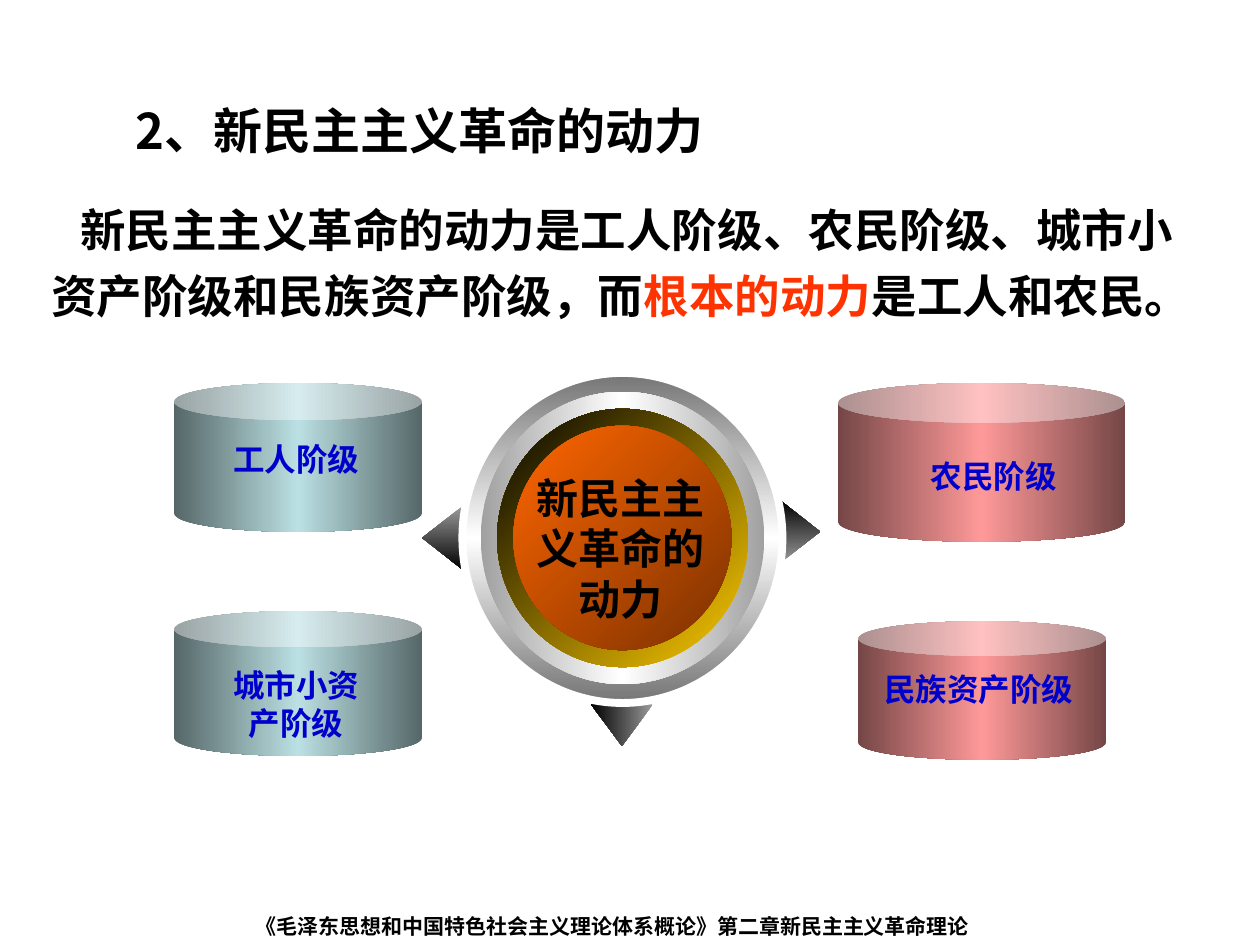
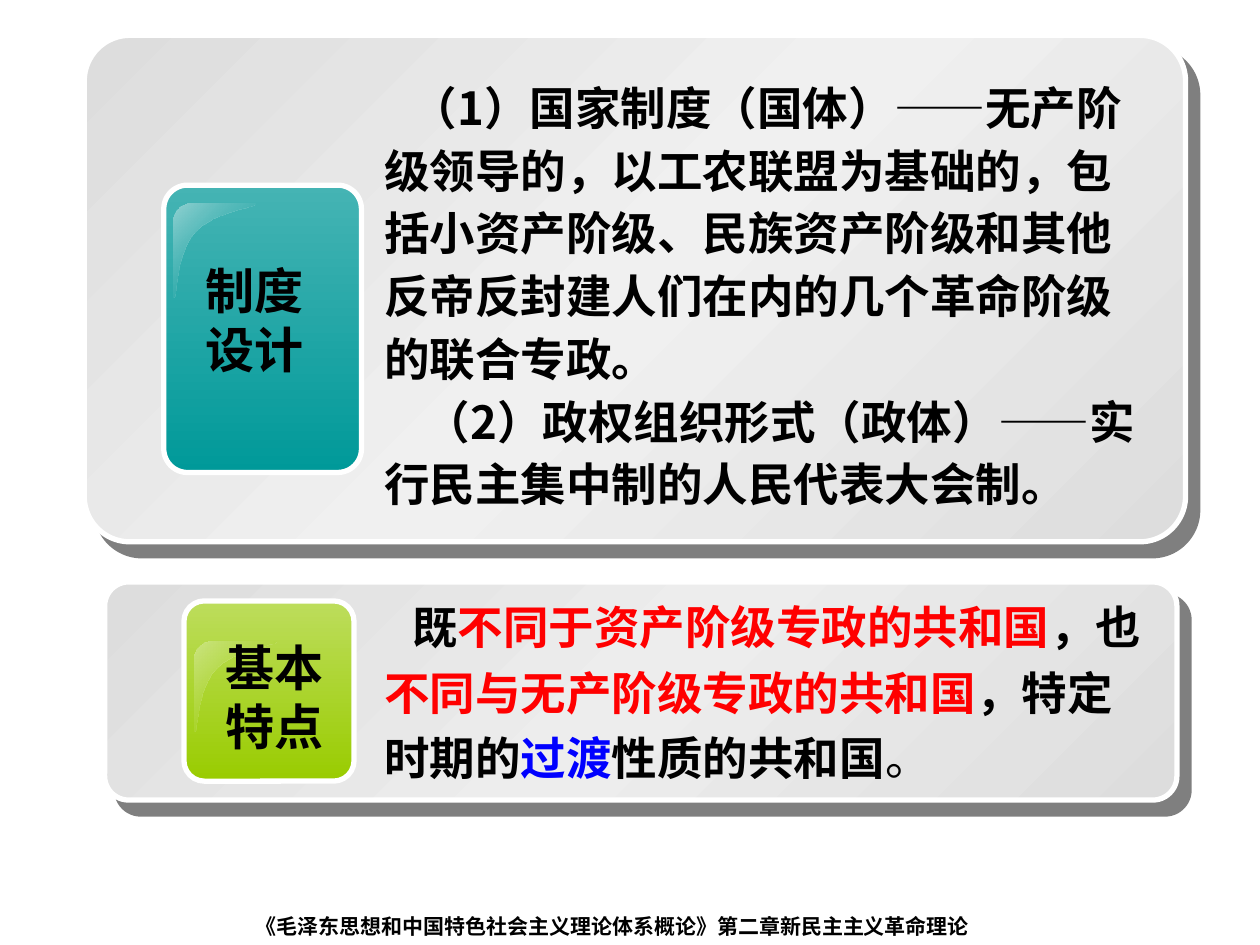
import pptx
import pptx.util
import pptx.oxml
import pptx.oxml.ns
from dataclasses import dataclass
from pptx.dml.color import RGBColor
from pptx.enum.shapes import MSO_SHAPE
from pptx.enum.text import MSO_ANCHOR, PP_ALIGN

Pt = pptx.util.Pt
qn = pptx.oxml.ns.qn


@dataclass(frozen=True)
class Theme:
    cjk: str = "Noto Sans CJK SC"
    latin: str = "Arial"
    ink: str = "000000"
    white: str = "FFFFFF"
    label: str = "0000CC"
    accent: str = "FF3300"
    red: str = "FF0000"
    blue: str = "0000FF"
    heading_size: int = 28
    body_size: int = 26
    core_size: int = 24
    label_size: int = 18
    footer_size: int = 12


T = Theme()

# Content: a paragraph is a list of (text, colour, bold) runs
FOOTER = "《毛泽东思想和中国特色社会主义理论体系概论》第二章新民主主义革命理论"
TITLE = "2、新民主主义革命的动力"
FORCES_TEXT = [
    ("新民主主义革命的动力是工人阶级、农民阶级、城市小资产阶级和民族资产阶级，而", T.ink, True),
    ("根本的动力", T.accent, True),
    ("是工人和农民。", T.ink, True),
]
CORE = ["新民主主义革命的", "动力"]

TEAL = ["566768", "BBE0E3", "566768"]
ROSE = ["754646", "FF9999", "754646"]
# Can box, gradient, label, label box, label font, label line spacing
CLASSES = [
    ((99.4, 218.9, 141.8, 85), TEAL, "工人阶级", (122.4, 247.7, 93.6, 28.8), T.cjk, 1),
    ((99.4, 349.2, 141.8, 82.8), TEAL, "城市小资产阶级", (122.4, 377.3, 93.6, 50.4), T.cjk, 1),
    ((478.8, 218.9, 164.2, 90.7), ROSE, "农民阶级", (522, 254.2, 92, 32.4), T.latin, 1.15),
    ((490.3, 355, 141.8, 79.2), ROSE, "民族资产阶级", (493.2, 379.4, 132.5, 28.8), T.cjk, 1),
]

# Dial: width, height, gradient, angle, rim width
DIAL_CENTER = (355.7, 307.4)
RINGS = [
    (182.9, 188.6, ["757575", "FFFFFF", "757575"], 90, 4.5),
    (162, 167, ["A1A1A1", "FFFFFF", "A1A1A1"], 180, 0),
    (143.3, 147.6, ["FFCC00", "000000"], 225, 0),
    (124.6, 128.2, ["7B3100", "FF6600"], 225, 0),
]
# Pointer box before rotation, rotation, gradient angle
POINTERS = [
    ((234.7, 295.9, 36, 23), 270, 90),
    ((439.2, 292.3, 36, 23), 90, 270),
    ((337.7, 402.5, 35.3, 23.8), 180, 0),
]

PANELS = [
    dict(box=(59.8, 332.6, 612.7, 124.6), corner=0.11, middle="EDEDED",
         badge=(105.1, 343.4, 97.2, 103), badge_fill=["BDDD5C", "99CC00"],
         gloss=(110.9, 366.5, 48.2, 51.8), gloss_fill=["99CC00", "CCE582"],
         name=["基本", "特点"], name_box=(117, 360.7, 80, 75),
         text_box=(212.4, 332.6, 455, 119.5), spacing=1.2, indents=[16],
         text=[[("既", T.ink, True), ("不同于资产阶级专政的共和国", T.red, True),
                ("，也", T.ink, True), ("不同与无产阶级专政的共和国", T.red, True),
                ("，特定时期的", T.ink, True), ("过渡", T.blue, True),
                ("性质的共和国", T.ink, True), ("。", T.ink, False)]]),
    dict(box=(48.2, 20.2, 629.3, 289.4), corner=0.09, middle="F0F0F0",
         badge=(93.6, 105.8, 113, 164.2), badge_fill=["45B4B4", "009999"],
         gloss=(99.4, 116.6, 47.5, 54), gloss_fill=["009999", "92D2D2"],
         name=["制度", "设计"], name_box=(105.4, 145.4, 80, 75),
         text_box=(212.4, 37.4, 453.6, 289.4), spacing=1.15, indents=[15.7, 23.3],
         text=[[("（1）国家制度（国体）", T.ink, True), ("——", T.ink, False),
                ("无产阶级领导的，以工农联盟为基础的，包括小资产阶级、民族资产阶级"
                 "和其他反帝反封建人们在内的几个革命阶级的联合专政。", T.ink, True)],
               [("（2）政权组织形式（政体）", T.ink, True), ("——", T.ink, False),
                ("实行民主集中制的人民代表大会制。", T.ink, True)]]),
]

# Gloss outline in fractions of its box: Bezier segments of four points
GLOSS_CURVES = [
    [(0.2, 0), (0.09, 0), (0, 0.09), (0, 0.2)],
    [(0, 0.99), (0.05, 1.02), (0.01, 0.52), (0.27, 0.29)],
    [(0.27, 0.29), (0.52, 0.07), (1, 0.05), (0.98, 0)],
]


# Shape helpers
def points(box):
    return [Pt(v) for v in box]


def gradient(sp, colors, angle, alphas=None):
    """Spread the colours evenly along the given clockwise angle."""
    alphas = alphas or [100] * len(colors)
    stops = "".join(
        f'<a:gs pos="{i * 100000 // (len(colors) - 1)}"><a:srgbClr val="{c}">'
        f'<a:alpha val="{a * 1000}"/></a:srgbClr></a:gs>'
        for i, (c, a) in enumerate(zip(colors, alphas)))
    sp.fill.gradient()
    spPr = sp._element.spPr
    spPr.replace(spPr.find(qn("a:gradFill")), pptx.oxml.parse_xml(
        f'<a:gradFill {pptx.oxml.ns.nsdecls("a")} rotWithShape="0"><a:gsLst>{stops}</a:gsLst>'
        f'<a:lin ang="{angle * 60000}" scaled="0"/></a:gradFill>'))


def outline(sp, width):
    if width:
        sp.line.color.rgb = RGBColor.from_string(T.white)
        sp.line.width = Pt(width)
    else:
        sp.line.fill.background()


def add_gradient_shape(slide, kind, box, colors, angle, rim=0, adjust=()):
    sp = slide.shapes.add_shape(kind, *points(box))
    sp.shadow.inherit = False
    for i, value in enumerate(adjust):
        sp.adjustments[i] = value
    gradient(sp, colors, angle)
    outline(sp, rim)
    return sp


def drop_shadow(sp):
    sp._element.spPr.find(qn("a:effectLst")).append(pptx.oxml.parse_xml(
        f'<a:outerShdw {pptx.oxml.ns.nsdecls("a")} blurRad="0" dist="{Pt(10.6)}" '
        f'dir="{49 * 60000}" algn="ctr" rotWithShape="0"><a:srgbClr val="{T.ink}">'
        '<a:alpha val="50000"/></a:srgbClr></a:outerShdw>'))


def add_gloss(slide, box, colors):
    x, y, w, h = box
    steps = 12
    outline_points = []
    for curve in GLOSS_CURVES:
        for t in (i / steps for i in range(steps + 1)):
            weights = ((1 - t) ** 3, 3 * t * (1 - t) ** 2, 3 * t * t * (1 - t), t ** 3)
            fx, fy = (sum(k * p[axis] for k, p in zip(weights, curve)) for axis in (0, 1))
            outline_points.append((Pt(x + fx * w), Pt(y + fy * h)))
    builder = slide.shapes.build_freeform(*outline_points[0])
    builder.add_line_segments(outline_points[1:], close=True)
    sp = builder.convert_to_shape()
    sp.shadow.inherit = False
    gradient(sp, colors, 225, [0, 100])
    outline(sp, 0)


# Text helpers
def write(sp, paragraphs, size, font=T.cjk, align=PP_ALIGN.LEFT, spacing=1, indents=()):
    tf = sp.text_frame
    tf.word_wrap = True
    tf.vertical_anchor = MSO_ANCHOR.TOP
    for i, runs in enumerate(paragraphs):
        p = tf.paragraphs[0] if i == 0 else tf.add_paragraph()
        p.alignment = align
        p.line_spacing = spacing
        if indents:
            p._p.get_or_add_pPr().set("indent", str(Pt(indents[i])))
        for text, color, bold in runs:
            r = p.add_run()
            r.text = text
            r.font.size = Pt(size)
            r.font.bold = bold
            r.font.name = font
            r.font.color.rgb = RGBColor.from_string(color)
            ea = r._r.get_or_add_rPr().makeelement(qn("a:ea"), {"typeface": T.cjk})
            r._r.rPr.find(qn("a:latin")).addnext(ea)


def add_text(slide, box, paragraphs, size, **style):
    write(slide.shapes.add_textbox(*points(box)), paragraphs, size, **style)


def plain(lines, color=T.ink):
    return [[(line, color, True)] for line in lines]


def add_footer(slide):
    sp = slide.shapes.add_shape(MSO_SHAPE.RECTANGLE, *points((139, 516.2, 459.4, 23.8)))
    sp.shadow.inherit = False
    sp.fill.solid()
    sp.fill.fore_color.rgb = RGBColor.from_string(T.white)
    outline(sp, 0)
    write(sp, plain([FOOTER]), T.footer_size, font=T.latin, spacing=1.15)


# Slides
def build_forces(slide):
    for box, turn, angle in POINTERS:
        sp = add_gradient_shape(slide, MSO_SHAPE.UP_ARROW, box, ["9A9A9A", "000000"],
                                angle, adjust=(0.52, 1))
        sp.rotation = turn
        sp._element.spPr.xfrm.set("flipH", "1")
    cx, cy = DIAL_CENTER
    for w, h, colors, angle, rim in RINGS:
        add_gradient_shape(slide, MSO_SHAPE.OVAL, (cx - w / 2, cy - h / 2, w, h),
                           colors, angle, rim)
    add_text(slide, (288.7, 266.4, 131.8, 93.6), plain(CORE), T.core_size,
             align=PP_ALIGN.CENTER)
    for box, colors, name, name_box, font, spacing in CLASSES:
        add_gradient_shape(slide, MSO_SHAPE.CAN, box, colors, 180, adjust=(0.25,))
        add_text(slide, name_box, plain([name], T.label), T.label_size, font=font,
                 align=PP_ALIGN.CENTER, spacing=spacing)
    add_text(slide, (22.3, 105.8, 674.6, 116.6), [FORCES_TEXT], T.body_size,
             spacing=1.2, indents=[16.5])
    add_text(slide, (70.6, 49, 380.2, 46), plain([TITLE]), T.heading_size, spacing=1.15)


def build_republic(slide):
    for panel in PANELS:
        sp = add_gradient_shape(slide, MSO_SHAPE.ROUNDED_RECTANGLE, panel["box"],
                                ["DDDDDD", panel["middle"], "DDDDDD"], 225, 3,
                                (panel["corner"],))
        drop_shadow(sp)
        add_gradient_shape(slide, MSO_SHAPE.ROUNDED_RECTANGLE, panel["badge"],
                           panel["badge_fill"], 90, 3, (0.12,))
        add_gloss(slide, panel["gloss"], panel["gloss_fill"])
        add_text(slide, panel["name_box"], plain(panel["name"]), T.heading_size,
                 align=PP_ALIGN.CENTER)
        add_text(slide, panel["text_box"], panel["text"], T.body_size,
                 spacing=panel["spacing"], indents=panel["indents"])


def main():
    prs = pptx.Presentation()
    prs.slide_width, prs.slide_height = Pt(720), Pt(540)
    for build in (build_forces, build_republic):
        slide = prs.slides.add_slide(prs.slide_layouts[6])
        build(slide)
        add_footer(slide)
    prs.save("out.pptx")


if __name__ == "__main__":
    main()
